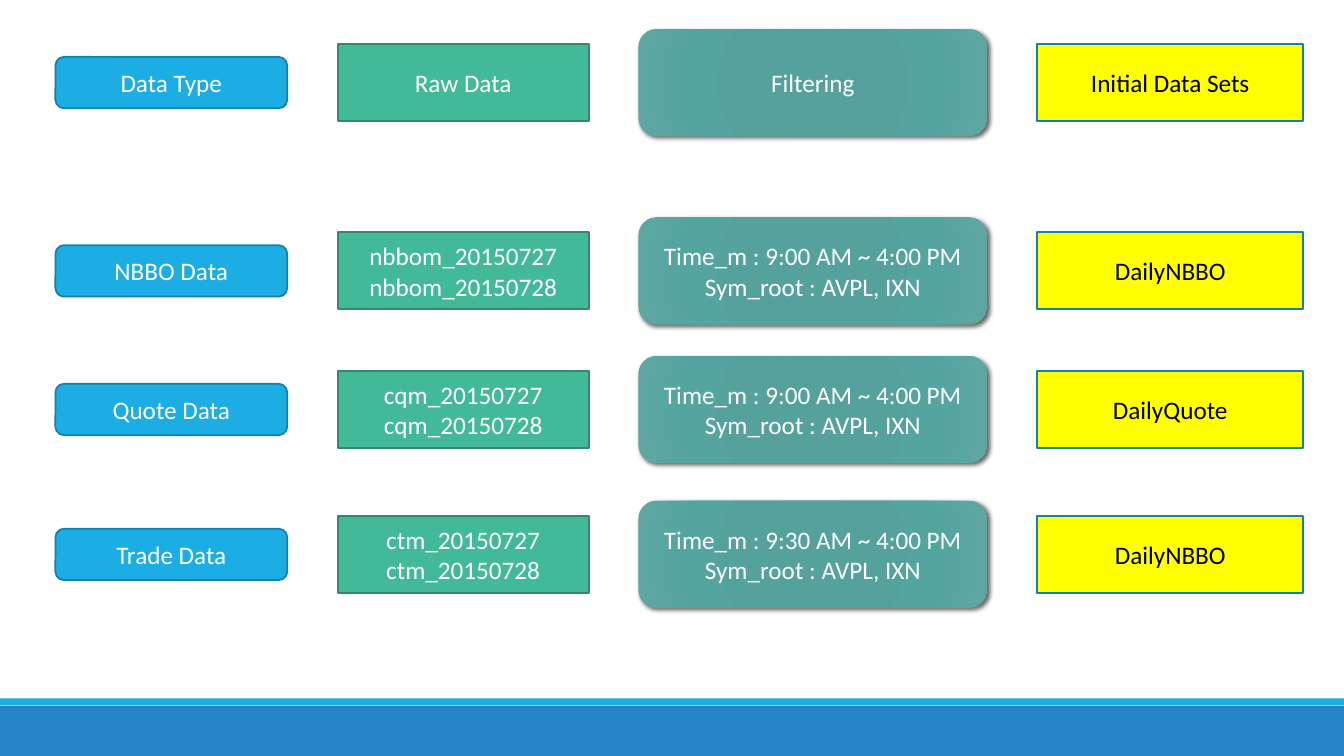
from dataclasses import dataclass

from pptx import Presentation
from pptx.dml.color import RGBColor
from pptx.enum.shapes import MSO_SHAPE as Preset
from pptx.enum.text import MSO_ANCHOR as Anchor, PP_ALIGN as Align
from pptx.oxml import parse_xml
from pptx.oxml.ns import nsdecls
from pptx.util import Pt


@dataclass(frozen=True)
class Theme:
    font: str = "Calibri"
    size: float = 18
    line_width: float = 1.25
    white: str = "FFFFFF"
    black: str = "000000"
    blue: str = "1CADE4"
    blue_line: str = "1580A9"
    footer: str = "2683C6"
    green: str = "42BA97"
    green_line: str = "318A70"
    yellow: str = "FFFF00"
    teal: tuple = ((0, "52A19C"), (34, "55A19C"), (70, "54A5A0"), (100, "5FA6A2"))


@dataclass(frozen=True)
class Column:
    preset: Preset
    left: float
    width: float
    height: float
    fill: str | tuple
    line: str | None
    color: str


class SlideBuilder:
    def __init__(self, slide, theme):
        self.slide = slide
        self.theme = theme

    def shape(self, shapes, preset, left, top, width, height, fill, line=None):
        shape = shapes.add_shape(preset, Pt(left), Pt(top), Pt(width), Pt(height))
        shape.shadow.inherit = False
        if isinstance(fill, tuple):
            self.radial_fill(shape, fill)
        else:
            shape.fill.solid()
            shape.fill.fore_color.rgb = RGBColor.from_string(fill)
        if line:
            shape.line.color.rgb = RGBColor.from_string(line)
            shape.line.width = Pt(self.theme.line_width)
        else:
            shape.line.fill.background()
        return shape

    def radial_fill(self, shape, stops):
        stop_xml = "".join(
            f'<a:gs pos="{position * 1000}"><a:srgbClr val="{color}"/></a:gs>'
            for position, color in stops)
        gradient = parse_xml(
            f'<a:gradFill {nsdecls("a")} rotWithShape="1"><a:gsLst>{stop_xml}</a:gsLst>'
            '<a:path path="circle"><a:fillToRect l="100000" t="100000" '
            'r="100000" b="100000"/></a:path></a:gradFill>')
        shape._element.spPr.insert(2, gradient)  # directly after the geometry

    def drop_shadow(self, shape):
        effects = shape._element.spPr.find("{*}effectLst")
        effects.append(parse_xml(
            f'<a:outerShdw {nsdecls("a")} blurRad="{Pt(3.5)}" dist="{Pt(2)}" '
            f'dir="2700000" rotWithShape="0"><a:srgbClr val="{self.theme.black}">'
            '<a:alpha val="60000"/></a:srgbClr></a:outerShdw>'))

    def text(self, shape, lines, color):
        frame = shape.text_frame
        frame.word_wrap = True
        frame.vertical_anchor = Anchor.MIDDLE
        frame.text = "\n".join(lines)
        for paragraph in frame.paragraphs:
            paragraph.alignment = Align.CENTER
            paragraph.font.name = self.theme.font
            paragraph.font.size = Pt(self.theme.size)
            paragraph.font.color.rgb = RGBColor.from_string(color)

    def row(self, middle, columns, cells):
        group = self.slide.shapes.add_group_shape()
        for column, lines in zip(columns, cells):
            box = self.shape(group.shapes, column.preset, column.left,
                             middle - column.height / 2, column.width,
                             column.height, column.fill, column.line)
            if column.line is None:
                self.drop_shadow(box)
            self.text(box, lines, column.color)

    def band(self, top, height, fill):
        self.shape(self.slide.shapes, Preset.RECTANGLE, 0, top, WIDTH, height, fill)


WIDTH, HEIGHT = 960, 540
theme = Theme()
presentation = Presentation()
presentation.slide_width, presentation.slide_height = Pt(WIDTH), Pt(HEIGHT)
builder = SlideBuilder(presentation.slides.add_slide(presentation.slide_layouts[6]), theme)

# Footer bands
builder.band(504, 36, theme.footer)
builder.band(498.8, 5, theme.blue)

# Columns: data type, raw data, filtering, initial data sets
columns = [
    Column(Preset.ROUNDED_RECTANGLE, 39.6, 165.6, 36.7,
           theme.blue, theme.blue_line, theme.white),
    Column(Preset.RECTANGLE, 241.2, 179.3, 55, theme.green, theme.green_line, theme.white),
    Column(Preset.ROUNDED_RECTANGLE, 456, 249.2, 76.4, theme.teal, None, theme.white),
    Column(Preset.RECTANGLE, 740.8, 190.2, 55, theme.yellow, theme.blue_line, theme.black),
]

# Header row
builder.row(59, columns, [["Data Type"], ["Raw Data"], ["Filtering"], ["Initial Data Sets"]])

# Data rows: middle, data type, raw data prefix, start time, data set
data_rows = [
    (193.5, "NBBO Data", "nbbom", "9:00", "DailyNBBO"),
    (292.5, "Quote Data", "cqm", "9:00", "DailyQuote"),
    (396, "Trade Data", "ctm", "9:30", "DailyNBBO"),
]
for middle, data_type, prefix, start, data_set in data_rows:
    raw_data = [f"{prefix}_{day}" for day in (20150727, 20150728)]
    filtering = [f"Time_m : {start} AM ~ 4:00 PM", "Sym_root : AVPL, IXN"]
    builder.row(middle, columns, [[data_type], raw_data, filtering, [data_set]])

presentation.save("out.pptx")
